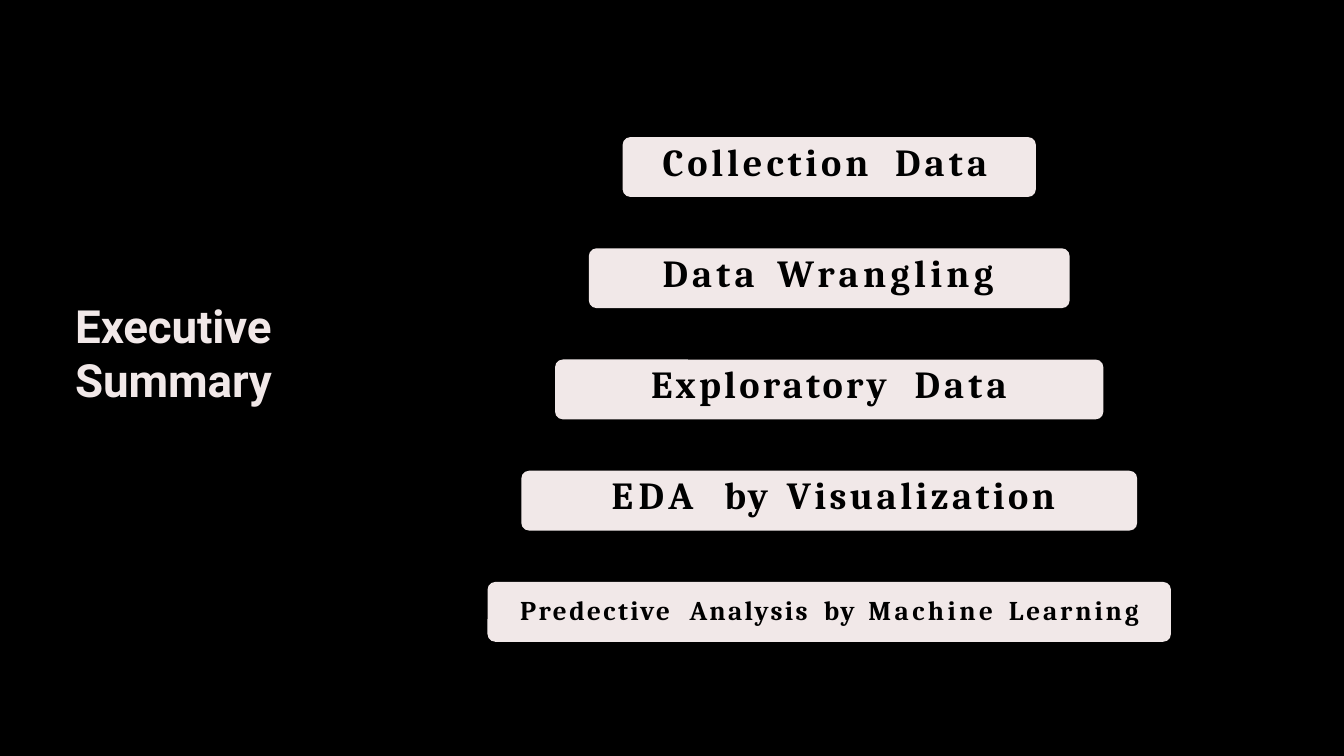
"""Build the executive summary slide: a heading beside a stack of widening step bars."""
from lxml import etree
from pptx import Presentation
from pptx.dml.color import RGBColor
from pptx.enum import shapes, text
from pptx.oxml import ns
from pptx.util import Inches, Pt

BLACK = RGBColor(0x00, 0x00, 0x00)
BLUSH = RGBColor(0xF1, 0xE8, 0xE8)

HEADING = {"name": "Roboto", "size": Pt(49), "bold": True}
STEP = {"name": "Cambria", "size": Pt(41), "bold": True}
SMALL_STEP = {**STEP, "size": Pt(29)}

BAR_CENTER, BAR_TOP, BAR_HEIGHT, BAR_PITCH = 12.34, 2.04, 0.89, 1.655
BAR_WIDTH, BAR_GROWTH, BAR_COUNT = 6.15, 1.005, 5


class SlideBuilder:
    def __init__(self, presentation):
        self.slide = presentation.slides.add_slide(presentation.slide_layouts[5])

    def background(self, color):
        fill = self.slide.background.fill
        fill.solid()
        fill.fore_color.rgb = color

    def bar(self, left, top, width, height):
        shape = self.slide.shapes.add_shape(
            shapes.MSO_SHAPE.ROUNDED_RECTANGLE,
            Inches(left), Inches(top), Inches(width), Inches(height))
        shape.adjustments[0] = 0.13
        shape.shadow.inherit = False
        shape.fill.solid()
        shape.fill.fore_color.rgb = BLUSH
        shape.line.fill.background()

    def text_box(self, left, top, width, height):
        shape = self.slide.shapes.add_textbox(0, 0, Inches(1), Inches(1))
        return self.frame(shape, left, top, width, height)

    def title(self, left, top, width, height):
        title = self.slide.shapes.title
        tree = title.element.getparent()
        tree.remove(title.element)
        tree.append(title.element)
        return self.frame(title, left, top, width, height)

    def frame(self, shape, left, top, width, height):
        place = {"left": left, "top": top, "width": width, "height": height}
        for name, value in place.items():
            setattr(shape, name, Inches(value))
        layout = {"word_wrap": True, "auto_size": text.MSO_AUTO_SIZE.SHAPE_TO_FIT_TEXT,
                  "vertical_anchor": text.MSO_ANCHOR.TOP, "margin_left": 0,
                  "margin_right": 0, "margin_top": Inches(0.01), "margin_bottom": 0}
        for name, value in layout.items():
            setattr(shape.text_frame, name, value)
        return shape.text_frame

    def fill_paragraph(self, paragraph, runs, style, color=BLACK, tabs=(), indent=0.01,
                       **formats):
        properties = paragraph._p.get_or_add_pPr()
        properties.set("marL", str(Inches(indent)))
        if tabs:
            tab_list = etree.SubElement(properties, ns.qn("a:tabLst"))
            for position in tabs:
                etree.SubElement(tab_list, ns.qn("a:tab"),
                                 pos=str(Inches(position)), algn="l")
        for name, value in {"alignment": text.PP_ALIGN.LEFT, **formats}.items():
            setattr(paragraph, name, value)
        for words, spacing in runs:
            run = paragraph.add_run()
            run.text = words
            for name, value in style.items():
                setattr(run.font, name, value)
            run.font.color.rgb = color
            run._r.get_or_add_rPr().set("spc", str(round(spacing * 100)))


def main():
    presentation = Presentation()
    presentation.slide_width = Inches(20)
    presentation.slide_height = Inches(11.25)
    builder = SlideBuilder(presentation)
    builder.background(BLACK)

    for index in range(BAR_COUNT):
        width = BAR_WIDTH + index * BAR_GROWTH
        builder.bar(BAR_CENTER - width / 2, BAR_TOP + index * BAR_PITCH, width, BAR_HEIGHT)

    heading = builder.text_box(1.11, 4.42, 3.32, 2.5)
    builder.fill_paragraph(heading.paragraphs[0], [("Executive ", -0.2), ("Summary", -0.1)],
                           HEADING, BLUSH, line_spacing=Pt(58.5))

    collection = builder.title(9.85, 2.04, 4.97, 0.71)
    builder.fill_paragraph(collection.paragraphs[0], [("Collection\t", 4.2), ("Data", 4.5)],
                           STEP, tabs=[3.46])

    wrangling = builder.text_box(9.85, 3.7, 5.09, 0.71)
    builder.fill_paragraph(wrangling.paragraphs[0], [("Data\t", 4.5), ("Wrangling", 4.7)],
                           STEP, tabs=[1.71])

    exploratory = builder.text_box(9.68, 5.35, 5.43, 0.71)
    builder.fill_paragraph(exploratory.paragraphs[0], [("Exploratory\t", 3.5), ("Data", 4.5)],
                           STEP, tabs=[3.92])

    final_steps = builder.text_box(7.68, 7.01, 9.33, 2.32)
    builder.fill_paragraph(final_steps.paragraphs[0],
                           [("EDA\t", 6), ("by\t", 2.9), ("Visualization", 3.7)],
                           STEP, tabs=[1.68, 2.61], indent=0.12,
                           alignment=text.PP_ALIGN.CENTER)
    builder.fill_paragraph(final_steps.add_paragraph(),
                           [("Predective\t", 2.6), ("Analysis\t", 2.5), ("by\t", 1.9),
                            ("Machine\t", 3.7), ("Learning", 3.1)],
                           SMALL_STEP, tabs=[2.52, 4.52, 5.18, 7.27], indent=0,
                           alignment=text.PP_ALIGN.CENTER, space_before=Pt(81))

    presentation.save("out.pptx")


if __name__ == "__main__":
    main()
